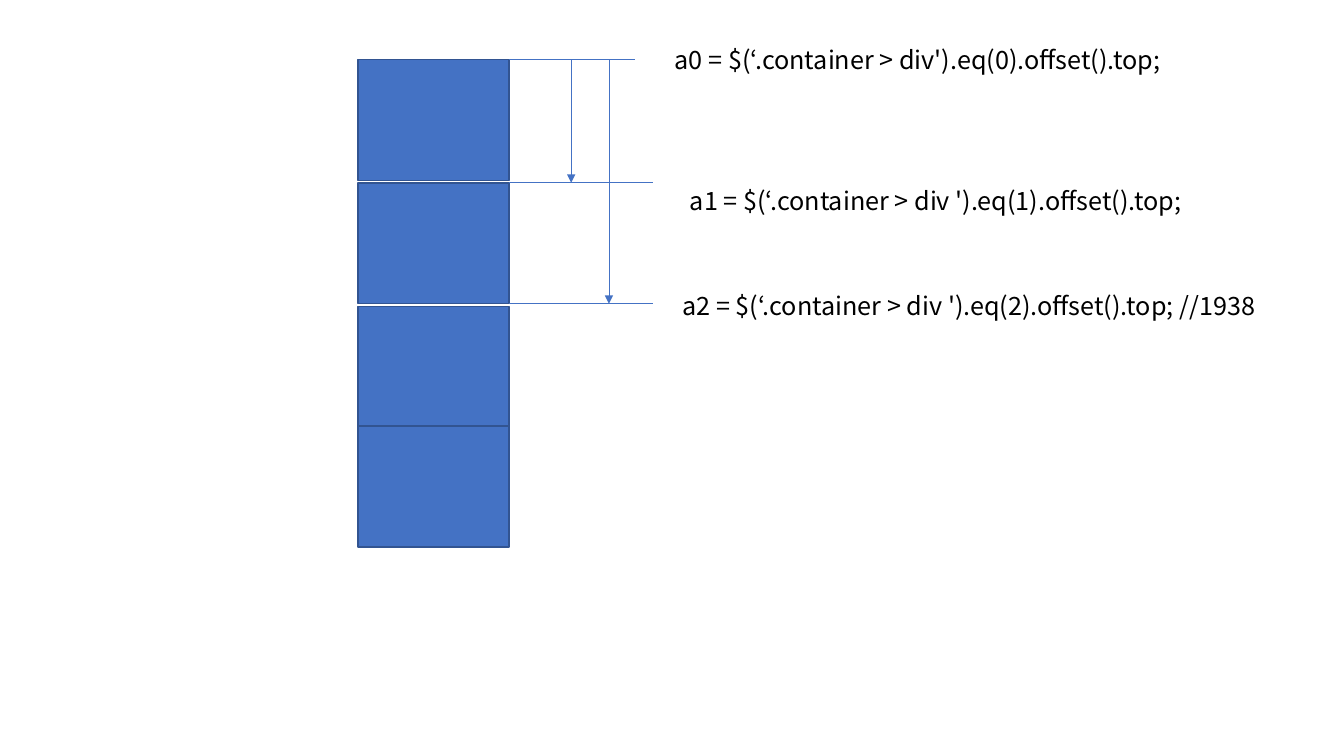
from dataclasses import dataclass

from lxml import etree
from pptx import Presentation
from pptx import util as u
from pptx.dml.color import RGBColor
from pptx.enum import shapes, text
from pptx.oxml.ns import qn


@dataclass(frozen=True)
class Theme:
    block: RGBColor = RGBColor(0x44, 0x72, 0xC4)
    edge: RGBColor = RGBColor(0x32, 0x54, 0x91)
    ink: RGBColor = RGBColor(0, 0, 0)
    font: str = "Noto Sans CJK KR"
    label_size: float = 18
    edge_width: float = 1
    line_width: float = 0.5


@dataclass(frozen=True)
class Label:
    """Caption placed by grid column and row, with its width in columns."""
    column: float
    row: float
    width: float
    caption: str


@dataclass(frozen=True)
class Line:
    """Straight line between two grid points given as (column, row)."""
    start: tuple[float, float]
    end: tuple[float, float]
    arrow: bool = False


THEME = Theme()

# Grid: one column and one row are the width and height of a block
LEFT, TOP = 3.55, 0.59
COLUMN, ROW = 1.5, 1.2
LABEL_HEIGHT = 0.33

BLOCK_ROWS = (0, 1.02, 2.04, 3.03)
LINES = (
    # Offset levels
    Line((1, 0), (1.83, 0)),
    Line((1, 1.02), (1.95, 1.02)),
    Line((1, 2.02), (1.95, 2.02)),
    # Distances from the first block
    Line((1.41, 0), (1.41, 1.02), arrow=True),
    Line((1.66, 0), (1.66, 2.02), arrow=True),
)
LABELS = (
    Label(2.03, -0.17, 3.36, "a0 = $(‘.container > div').eq(0).offset().top;"),
    Label(2.13, 1, 3.41, "a1 = $(‘.container > div ').eq(1).offset().top;"),
    Label(2.08, 1.87, 3.98, "a2 = $(‘.container > div ').eq(2).offset().top; //1938"),
)


def across(column: float) -> u.Length:
    return u.Inches(LEFT + column * COLUMN)


def down(row: float) -> u.Length:
    return u.Inches(TOP + row * ROW)


def draw_block(page, row: float) -> None:
    box = page.shapes.add_shape(shapes.MSO_SHAPE.RECTANGLE, across(0), down(row),
                                u.Inches(COLUMN), u.Inches(ROW))
    box.shadow.inherit = False
    box.fill.solid()
    box.fill.fore_color.rgb = THEME.block
    box.line.color.rgb = THEME.edge
    box.line.width = u.Pt(THEME.edge_width)


def draw_line(page, line: Line) -> None:
    (start_column, start_row), (end_column, end_row) = line.start, line.end
    connector = page.shapes.add_connector(
        shapes.MSO_CONNECTOR.STRAIGHT, across(start_column), down(start_row),
        across(end_column), down(end_row))
    connector.line.color.rgb = THEME.block
    connector.line.width = u.Pt(THEME.line_width)
    properties = connector._element.spPr
    if line.arrow:
        etree.SubElement(properties.find(qn("a:ln")), qn("a:tailEnd"), type="triangle")
    etree.SubElement(properties, qn("a:effectLst"))


def draw_label(page, label: Label) -> None:
    box = page.shapes.add_textbox(across(label.column), down(label.row),
                                  u.Inches(label.width * COLUMN),
                                  u.Inches(LABEL_HEIGHT * ROW))
    frame = box.text_frame
    frame.word_wrap = False
    frame.auto_size = text.MSO_AUTO_SIZE.SHAPE_TO_FIT_TEXT
    frame.text = label.caption
    span = frame.paragraphs[0].runs[0]
    span.font.size = u.Pt(THEME.label_size)
    span.font.name = THEME.font
    span.font.color.rgb = THEME.ink
    # East Asian face, so the curly quote uses the same font
    etree.SubElement(span.font._element, qn("a:ea"), typeface=THEME.font)


def main() -> None:
    deck = Presentation()
    deck.slide_width, deck.slide_height = u.Inches(13.33), u.Inches(7.5)
    page = deck.slides.add_slide(deck.slide_layouts[6])
    # Stacked blocks
    for row in BLOCK_ROWS:
        draw_block(page, row)
    # Levels and distances
    for line in LINES:
        draw_line(page, line)
    # Code captions
    for label in LABELS:
        draw_label(page, label)
    deck.save("out.pptx")


if __name__ == "__main__":
    main()
